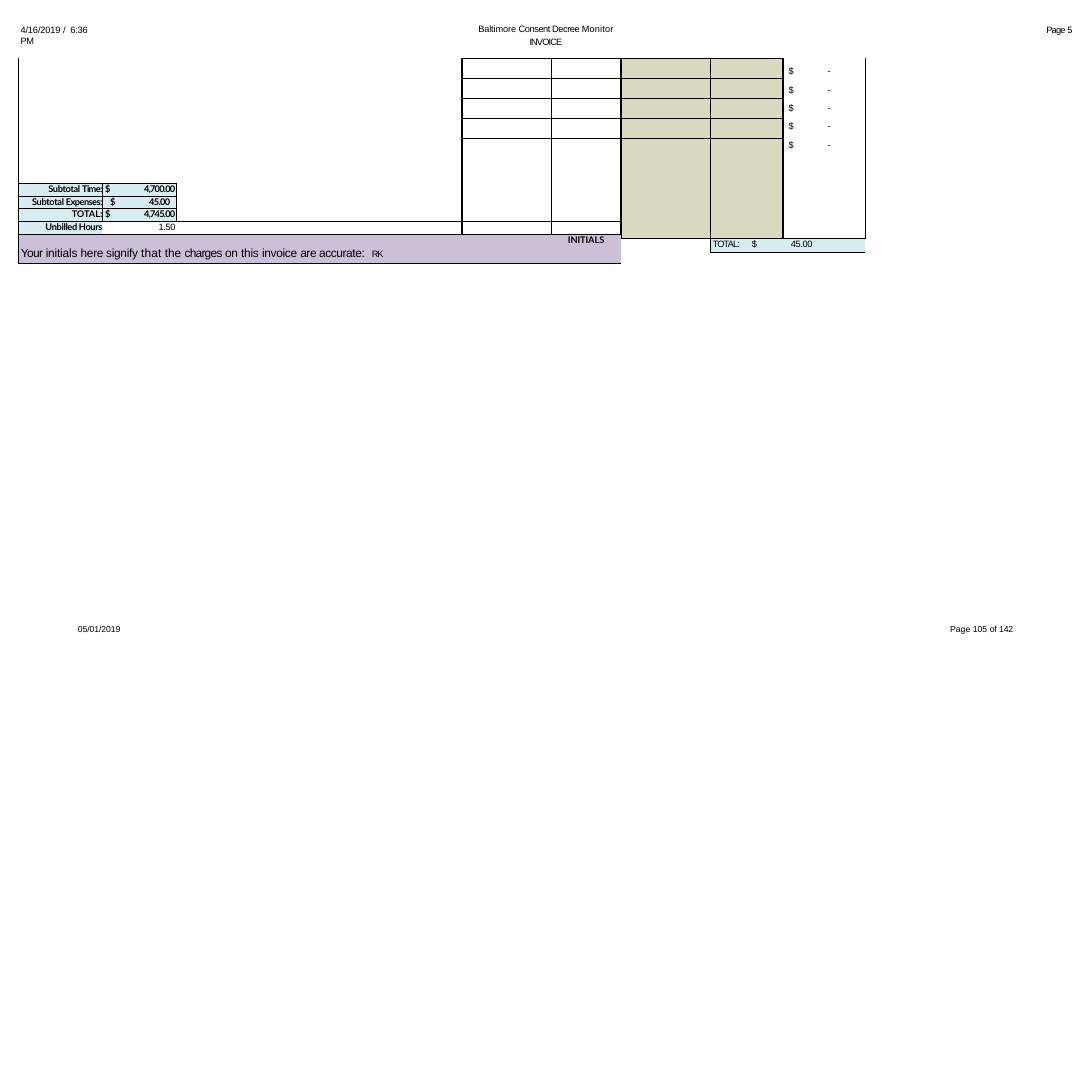
import pptx
import pptx.util
import pptx.dml.color
import pptx.enum.text
import pptx.oxml
import pptx.oxml.ns
from lxml import etree

Pt = pptx.util.Pt
ALIGN = pptx.enum.text.PP_ALIGN
qn = pptx.oxml.ns.qn
COLORS = {"ink": "000000", "sand": "DBD8C1", "ice": "D8EDF2", "lilac": "CCBFD8"}
PLAIN_STYLE = "{2D5ABB26-0587-4C30-8999-92F81FD0307C}"
THIN, THICK = 0.75, 1.5


def rgb(name):
    return pptx.dml.color.RGBColor.from_string(COLORS[name])


def write(p, runs, size=8.5, font="Arial", bold=False, align=None, indent=0, before=0, line=None, tabs=()):
    pPr = p._p.get_or_add_pPr()
    pPr.set("marL", str(Pt(indent)))
    pPr.set("indent", "0")
    if tabs:
        tab_list = etree.SubElement(pPr, qn("a:tabLst"))
        for pos in tabs:
            etree.SubElement(tab_list, qn("a:tab"), pos=str(Pt(pos)), algn="l")
    p.alignment = align
    p.space_before = Pt(before)
    if line:
        p.line_spacing = line
    for text, spacing in runs:
        r = p.add_run()
        r.text = text
        r.font.size = Pt(size)
        r.font.name = font
        r.font.bold = bold
        r.font.color.rgb = rgb("ink")
        r._r.get_or_add_rPr().set("spc", str(round(spacing * 100)))


def add_label(s, box, runs, top=0, **style):
    tf = s.shapes.add_textbox(*map(Pt, box)).text_frame
    tf.word_wrap = True
    tf.margin_left = tf.margin_right = tf.margin_bottom = 0
    tf.margin_top = Pt(top)
    write(tf.paragraphs[0], runs, **style)


def border(cell, **sides):
    tcPr = cell._tc.get_or_add_tcPr()
    for i, side in enumerate(k for k in "LRTB" if k in sides):
        ln = etree.Element(qn("a:ln" + side), w=str(Pt(sides[side])))
        fill = etree.SubElement(ln, qn("a:solidFill"))
        etree.SubElement(fill, qn("a:srgbClr"), val=COLORS["ink"])
        tcPr.insert(i, ln)


def add_grid(s, box, cols, rows):
    table = s.shapes.add_table(len(rows), len(cols), *map(Pt, box)).table
    table._tbl.tblPr.find(qn("a:tableStyleId")).text = PLAIN_STYLE
    table.first_row = table.horz_banding = False
    for col, width in zip(table.columns, cols):
        col.width = Pt(width)
    for row, height in zip(table.rows, rows):
        row.height = Pt(height)
    for cell in table.iter_cells():
        cell.margin_left = cell.margin_right = cell.margin_top = cell.margin_bottom = 0
        cell.text_frame.paragraphs[0]._p.get_or_add_endParaRPr().set("sz", "800")
    return table


def region(table, row, col, height=1, width=1, fill=None, **sides):
    cell = table.cell(row, col)
    if height * width > 1:
        cell.merge(table.cell(row + height - 1, col + width - 1))
    for i in range(height):
        for j in range(width):
            outer = {"L": j == 0, "R": j == width - 1, "T": i == 0, "B": i == height - 1}
            border(table.cell(row + i, col + j), **{k: w for k, w in sides.items() if outer[k]})
    if fill:
        cell.fill.solid()
        cell.fill.fore_color.rgb = rgb(fill)
    return cell


def expense_table(s, left, top):
    cols, rows = [409, 82.8, 64.1, 82.8, 67, 75.8], [18.5] * 5 + [12.6]
    table = add_grid(s, (left, top, sum(cols), sum(rows)), cols, rows)
    region(table, 0, 0, 5, L=THICK, R=THICK, B=THICK)
    for row in range(5):
        for col in range(1, 5):
            region(table, row, col, fill="sand" if col > 2 else None,
                   L=THICK if col == 3 else THIN, T=THIN,
                   R=THIN if col % 2 else THICK, B=THIN)
    amounts = region(table, 0, 5, 5, L=THICK, R=THICK, B=THICK)
    amounts.margin_top, amounts.margin_bottom = Pt(7.2), Pt(4.2)
    tf = amounts.text_frame
    for i in range(5):
        write(tf.add_paragraph() if i else tf.paragraphs[0], [("$\t", -0.3), ("-", -0.1)],
              indent=5, before=7.5 if i else 0, tabs=[60.5])
    region(table, 5, 0, 1, 4, L=THICK, T=THICK, R=THICK)
    total = region(table, 5, 4, 1, 2, "ice", L=THICK, T=THIN, R=THICK, B=THICK)
    write(total.text_frame.paragraphs[0], [("TOTAL:\t", -0.8), ("$\t45.00", -0.3)],
          indent=2, line=Pt(10.1), tabs=[71.3, 118.8])


def summary_table(s, left, top):
    cols, rows = [77.3, 68.4, 410.6], [11.9, 11.7, 11.7, 12.2, 26.8]
    table = add_grid(s, (left, top, sum(cols), sum(rows)), cols, rows)
    subtotals = [
        ([("Subtotal ", -0.3), ("Time:", -0.6)], [("$\t", -0.6), ("4,700.00", -0.7)], 30.2),
        ([("Subtotal ", -0.3), ("Expenses:", -0.5)], [("$\t45.00", -0.6)], 41),
        ([("TOTA", -0.1), ("L:", 0)], [("$\t", -0.6), ("4,745.00", -0.7)], 30.2),
    ]
    bold = {"font": "Lato", "bold": True, "line": Pt(10.1)}
    for row, (name, amount, tab) in enumerate(subtotals):
        edges = {"T": THIN if row else THICK, "B": THICK if row == 2 else THIN}
        cell = region(table, row, 0, fill="ice", L=THICK, R=THIN, **edges)
        write(cell.text_frame.paragraphs[0], name, align=ALIGN.RIGHT, **bold)
        cell = region(table, row, 1, fill="ice", L=THIN, R=THICK, **edges)
        write(cell.text_frame.paragraphs[0], amount, align=ALIGN.CENTER, indent=1.4, tabs=[tab], **bold)
    region(table, 0, 2, 3, L=THICK, B=THIN)
    cell = region(table, 3, 0, fill="ice")
    write(cell.text_frame.paragraphs[0], [("Unbilled Hours", -0.3)], align=ALIGN.RIGHT, **bold)
    cell = region(table, 3, 1, 1, 2, T=THIN, B=THICK)
    write(cell.text_frame.paragraphs[0], [("1.50", -0.3)], indent=51.8, line=Pt(10.1))
    cell = region(table, 4, 0, 1, 3, "lilac", L=THICK, T=THICK, R=THICK, B=THICK)
    cell.margin_right = Pt(15.6)
    tf = cell.text_frame
    write(tf.paragraphs[0], [("INITIA", -0.1), ("LS", 0)], font="Lato", bold=True, align=ALIGN.RIGHT)
    p = tf.add_paragraph()
    write(p, [("Your ", -0.6), ("initials ", -0.2), ("here signify ", -0.3), ("that ", 0.1),
              ("the ", -0.1), ("charges ", -0.7), ("on ", -0.3), ("this ", -0.2),
              ("invoice ", -0.3), ("are accurate:\t", -0.4)],
          size=11, indent=2, before=0.8, tabs=[496])
    r = p.add_run()
    r.text = "RK"
    r.font.size, r.font.name = Pt(8.5), "Arial"
    r.font.color.rgb = rgb("ink")
    r._r.get_or_add_rPr().set("spc", "-120")


def page_header(s, left, top, width):
    add_label(s, (left, top, 77, 12.2),
              [("4/16/2019 ", -0.1), ("/ ", 1), ("6:36 ", -0.2), ("PM", -0.4)], top=1.2, indent=1)
    add_label(s, (left + 422.6, top - 1.4, 126.7, 25.2),
              [("Baltimore ", -0.1), ("Consent Decree ", -0.4), ("Monitor ", 0.1), ("INVOICE", -0.8)],
              top=0.9, align=ALIGN.CENTER, line=1.13)
    add_label(s, (left + width - 26, top, 26, 12.2), [("Page ", -0.7), ("5", -0.3)], top=1.2, indent=1)


def page_footer(s, left, top, width):
    add_label(s, (left, top, 42, 10.8), [("05/01/2019", -0.1)], size=8, indent=0.7)
    add_label(s, (left + width - 60.5, top, 60.5, 10.8),
              [("Page 105 ", 0), ("of 142", -0.1)], size=8, indent=0.7)


def main():
    prs = pptx.Presentation()
    prs.slide_width, prs.slide_height = Pt(1008), Pt(1000.8)
    s = prs.slides.add_slide(prs.slide_layouts[6])
    page_footer(s, 71.3, 576, 865.5)
    page_header(s, 18, 20.9, 972.8)
    expense_table(s, 17.3, 54)
    summary_table(s, 17.3, 169.2)
    prs.save("out.pptx")


if __name__ == "__main__":
    main()
